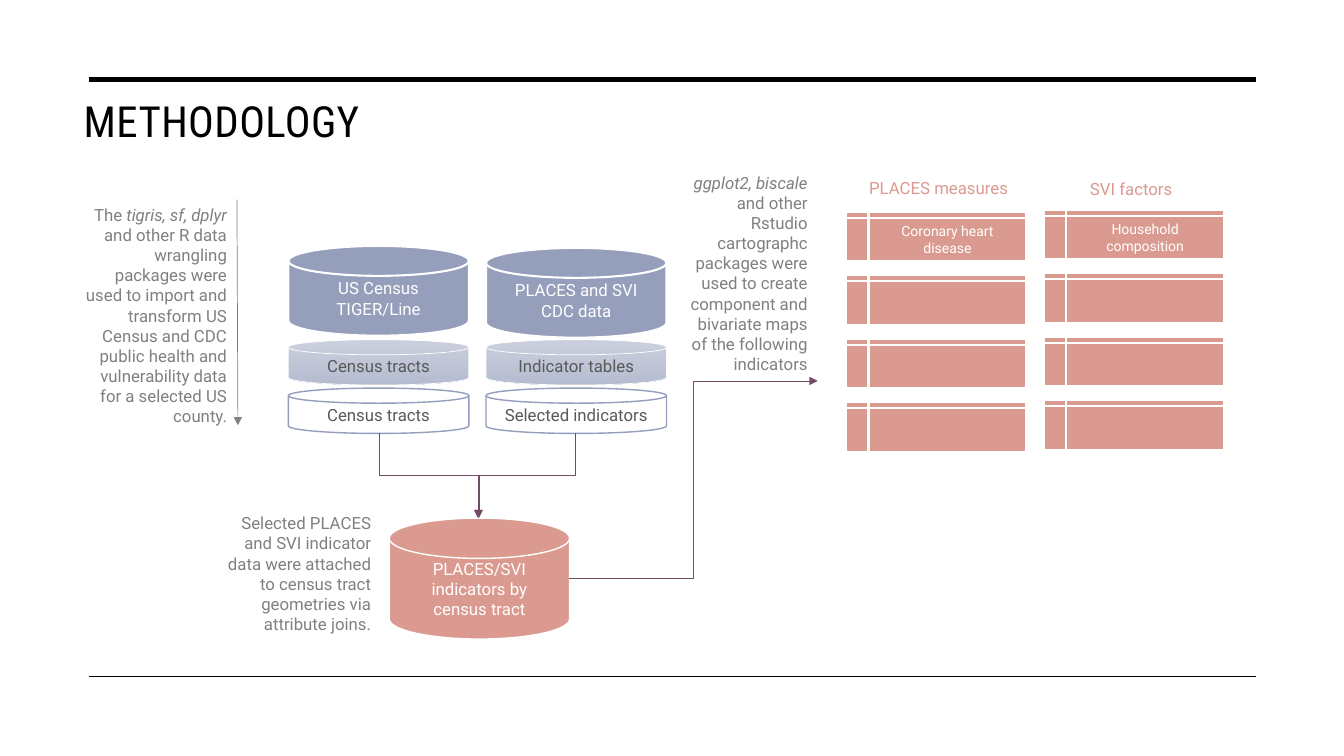
import pptx
import pptx.util
import pptx.dml.color
import pptx.enum.shapes
import pptx.enum.text
import pptx.oxml.ns
from lxml import etree

RGBColor = pptx.dml.color.RGBColor
Preset = pptx.enum.shapes.MSO_SHAPE
Link = pptx.enum.shapes.MSO_CONNECTOR
Align = pptx.enum.text.PP_ALIGN
Anchor = pptx.enum.text.MSO_ANCHOR
Fit = pptx.enum.text.MSO_AUTO_SIZE
qn = pptx.oxml.ns.qn

BLACK = RGBColor(0x00, 0x00, 0x00)
WHITE = RGBColor(0xFF, 0xFF, 0xFF)
BLUE = RGBColor(0x95, 0x9E, 0xBB)
PALE_TOP = RGBColor(0xCB, 0xCF, 0xDD)
PALE_BOTTOM = RGBColor(0xB6, 0xBC, 0xD0)
SALMON = RGBColor(0xDB, 0x9A, 0x8F)
PLUM = RGBColor(0x73, 0x4B, 0x67)
GREY = RGBColor(0x80, 0x80, 0x80)
DARK_GREY = RGBColor(0x59, 0x59, 0x59)


def px(*lengths):
    """Turn px (100 to the inch) into EMU."""
    return [pptx.util.Emu(length * 9144) for length in lengths]


class Painter:
    body_font = "Roboto"
    title_font = "Roboto Condensed"

    def __init__(self, page):
        self.page = page

    def style(self, para, size, color, align, font=body_font):
        para.alignment = align
        para.font.size = pptx.util.Pt(size)
        para.font.name = font
        para.font.color.rgb = color

    def title(self, text, *place):
        box = self.page.shapes.title
        box.left, box.top, box.width, box.height = px(*place)
        frame = box.text_frame
        frame.text = text
        frame.vertical_anchor = Anchor.TOP
        frame.auto_size = Fit.NONE
        para = frame.paragraphs[0]
        para.line_spacing = 0.9
        self.style(para, 30.6, BLACK, Align.LEFT, self.title_font)
        para.runs[0].font._element.set("spc", "30")

    def shape(self, preset, place, fill, line, weight, text="", color=WHITE, size=12):
        """Fill is one colour, or a list of two for a downward gradient."""
        shape = self.page.shapes.add_shape(preset, *px(*place))
        shape.shadow.inherit = False
        if isinstance(fill, list):
            shape.fill.gradient()
            shape.fill.gradient_angle = 270
            for stop, shade in zip(shape.fill.gradient_stops, fill):
                stop.color.rgb = shade
        else:
            shape.fill.solid()
            shape.fill.fore_color.rgb = fill
        shape.line.color.rgb = line
        shape.line.width = pptx.util.Pt(weight)
        if text:
            shape.text_frame.vertical_anchor = Anchor.MIDDLE
            para = shape.text_frame.paragraphs[0]
            para.text = text
            self.style(para, size, color, Align.CENTER)

    def disk(self, *args):
        self.shape(Preset.FLOWCHART_MAGNETIC_DISK, *args)

    def text(self, place, spans, color=GREY, align=Align.RIGHT):
        """Spans are (text, italic) pairs."""
        box = self.page.shapes.add_textbox(*px(*place))
        frame = box.text_frame
        frame.word_wrap = True
        frame.auto_size = Fit.SHAPE_TO_FIT_TEXT
        para = frame.paragraphs[0]
        for words, italic in spans:
            span = para.add_run()
            span.text = words
            if italic:
                span.font.italic = True
        self.style(para, 12, color, align)

    def line(self, ends, color, weight, kind=Link.STRAIGHT, arrow=False):
        link = self.page.shapes.add_connector(kind, *px(*ends))
        link.line.color.rgb = color
        link.line.width = pptx.util.Pt(weight)
        properties = link._element.spPr
        if arrow:
            etree.SubElement(properties.find(qn("a:ln")), qn("a:tailEnd"), type="triangle")
        etree.SubElement(properties, qn("a:effectLst"))
        return link

    def elbow_down(self, x1, y1, x2, y2):
        """Elbow that leaves downwards: a sideways elbow turned a quarter."""
        middle_x, middle_y = (x1 + x2) // 2, (y1 + y2) // 2
        half_width, half_height = (y2 - y1) // 2, abs(x2 - x1) // 2
        rightward = x2 > x1
        reach = half_width if rightward else -half_width
        link = self.line((middle_x + reach, middle_y - half_height,
                          middle_x - reach, middle_y + half_height),
                         PLUM, 0.5, Link.ELBOW, True)
        turn = 270 if rightward else 90
        link._element.spPr.find(qn("a:xfrm")).set("rot", str(turn * 60000))


def main():
    deck = pptx.Presentation()
    deck.slide_width, deck.slide_height = px(1333, 750)
    painter = Painter(deck.slides.add_slide(deck.slide_layouts[5]))

    # Title and rules
    painter.title("METHODOLOGY", 73, 95, 534, 63)
    for y, weight in ((79, 3.5), (671, 1)):
        painter.line((88, y, 1246, y), BLACK, weight)

    # Source data stacks
    stacks = (
        (482, 246, "PLACES and SVI\nCDC data", "Indicator tables", "Selected indicators"),
        (286, 244, "US Census TIGER/Line", "Census tracts", "Census tracts"),
    )
    for left, top, source, table, selection in stacks:
        painter.disk((left, top, 179, 89), BLUE, WHITE, 1.5, source)
        painter.disk((left, 337, 179, 45), [PALE_TOP, PALE_BOTTOM], WHITE, 0.5,
                     table, DARK_GREY)
        painter.disk((left, 385, 179, 45), WHITE, BLUE, 1, selection, DARK_GREY)

    # Joined data
    painter.disk((386, 514, 179, 120), SALMON, WHITE, 1,
                 "PLACES/SVI indicators by\ncensus tract")

    # Indicator columns
    columns = (
        (1035, 208, "Household composition", (1035, 172, 174, 30), "SVI factors"),
        (839, 210, "Coronary heart disease", (844, 171, 174, 30), "PLACES measures"),
    )
    for left, top, first, heading_place, heading in columns:
        for row in range(4):
            painter.shape(Preset.FLOWCHART_INTERNAL_STORAGE,
                          (left, top + 63 * row, 179, 49), SALMON, WHITE, 1.5,
                          "" if row else first, WHITE, 10)
        painter.text(heading_place, [(heading, False)], SALMON, Align.CENTER)

    # Arrows
    painter.line((235, 198, 236, 422), GREY, 0.5, arrow=True)
    for start in (376, 571):
        painter.elbow_down(start, 430, 475, 514)
    painter.line((564, 574, 811, 378), PLUM, 0.5, Link.ELBOW, True)

    # Step notes
    painter.text((74, 198, 161, 232), [
        ("The ", False),
        ("tigris, sf, dplyr", True),
        (" and other R data wrangling packages were used to import and transform "
         "US Census and CDC public health and vulnerability data for a selected "
         "US county.", False),
    ])
    painter.text((668, 166, 143, 212), [
        ("ggplot2, biscale ", True),
        ("and other Rstudio cartographc packages were used to create component "
         "and bivariate maps of the following indicators", False),
    ])
    painter.text((200, 504, 178, 131), [
        ("Selected PLACES and SVI indicator data were attached to census tract "
         "geometries via attribute joins.", False),
    ])

    deck.save("out.pptx")


if __name__ == "__main__":
    main()
